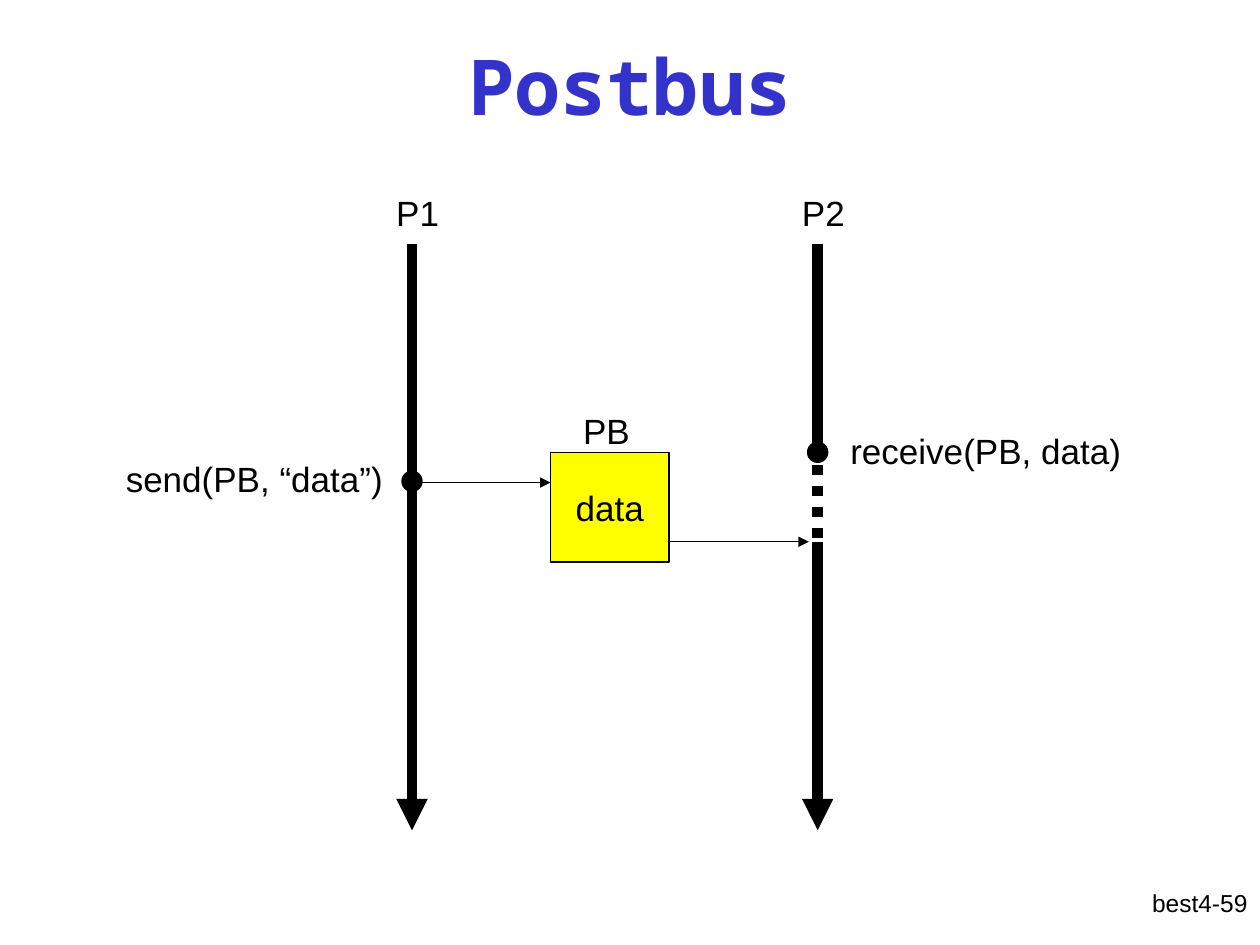
from lxml.etree import SubElement
from pptx import Presentation
from pptx.dml.color import RGBColor
from pptx.enum.dml import MSO_LINE_DASH_STYLE as Dash
from pptx.enum.shapes import MSO_CONNECTOR as Connector, MSO_SHAPE as Shape
from pptx.enum.text import MSO_ANCHOR as Anchor, PP_ALIGN as Align
from pptx.oxml.ns import qn
from pptx.util import Inches, Pt

COLORS = {"ink": "000000", "title": "3333CC", "postbox": "FFFF00"}


class Diagram:
    body_font = "Arial"
    title_font = "Noto Sans Mono"

    def __init__(self, slide):
        self.slide = slide
        self.shapes = slide.shapes

    def color(self, name):
        return RGBColor.from_string(COLORS[name])

    def set_text(self, frame, text, size=20, align=Align.LEFT, font=None, color="ink", bold=False):
        frame.text = text
        para = frame.paragraphs[0]
        para.alignment = align
        for span in para.runs:
            span.font.name = font or self.body_font
            span.font.size = Pt(size)
            span.font.bold = bold
            span.font.color.rgb = self.color(color)

    def title(self, text):
        box = self.shapes.title
        box.left, box.top = Inches(0.75), Inches(0.05)
        box.width, box.height = Inches(8.5), Inches(1.25)
        box.text_frame.vertical_anchor = Anchor.MIDDLE
        self.set_text(box.text_frame, text, 44, Align.CENTER, self.title_font, "title", True)

    def label(self, text, left, top, width, height=0.44, size=20, align=Align.LEFT):
        box = self.shapes.add_textbox(Inches(left), Inches(top), Inches(width), Inches(height))
        box.text_frame.word_wrap = True
        self.set_text(box.text_frame, text, size, align)

    def shape(self, kind, left, top, width, height, fill, text=""):
        box = self.shapes.add_shape(kind, Inches(left), Inches(top), Inches(width), Inches(height))
        box.shadow.inherit = False
        box.fill.solid()
        box.fill.fore_color.rgb = self.color(fill)
        box.line.color.rgb = self.color("ink")
        box.line.width = Pt(0.75)
        if text:
            box.text_frame.word_wrap = False
            box.text_frame.vertical_anchor = Anchor.MIDDLE
            self.set_text(box.text_frame, text, align=Align.CENTER)

    def dot(self, left, top, size=0.16):
        self.shape(Shape.OVAL, left, top, size, size, "ink")

    def line(self, start, end, width=0.75, arrow=False, dash=None):
        points = [Inches(value) for value in (*start, *end)]
        connector = self.shapes.add_connector(Connector.STRAIGHT, *points)
        connector.line.color.rgb = self.color("ink")
        connector.line.width = Pt(width)
        if dash:
            connector.line.dash_style = dash
        properties = connector._element.spPr
        if arrow:
            SubElement(properties.find(qn("a:ln")), qn("a:tailEnd"), type="triangle")
        SubElement(properties, qn("a:effectLst"))


def main():
    deck = Presentation()
    deck.slide_width, deck.slide_height = Inches(10), Inches(7.5)
    page = Diagram(deck.slides.add_slide(deck.slide_layouts[5]))

    sender, receiver = 3.27, 6.49
    start, received, end = 1.94, 4.3, 6.59

    page.label("best4-59", 7.92, 7, 2.08, 0.5, 14, Align.RIGHT)
    page.title("Postbus")

    page.line((sender, start), (sender, end), 6, arrow=True)
    page.line((receiver, received), (receiver, end), 6, arrow=True)
    page.line((3.34, 3.83), (4.37, 3.83), arrow=True)
    page.shape(Shape.RECTANGLE, 4.37, 3.59, 0.94, 0.87, "postbox", "data")
    page.label("send(PB, “data”)", 0.9, 3.58, 2.36)
    page.label("receive(PB, data)", 6.65, 3.36, 2.91)
    page.dot(sender - 0.08, 3.74)
    page.dot(receiver - 0.08, 3.51)
    page.line((receiver, start), (receiver, 3.59), 6)
    page.line((receiver, 3.52), (receiver, received), 6, dash=Dash.ROUND_DOT)
    page.line((5.31, received), (6.42, received), arrow=True)
    page.label("PB", 4.53, 3.2, 1.34)
    for name, center in (("P1", sender), ("P2", receiver)):
        page.label(name, center - 0.31, 1.47, 0.71, align=Align.CENTER)

    deck.save("out.pptx")


if __name__ == "__main__":
    main()
